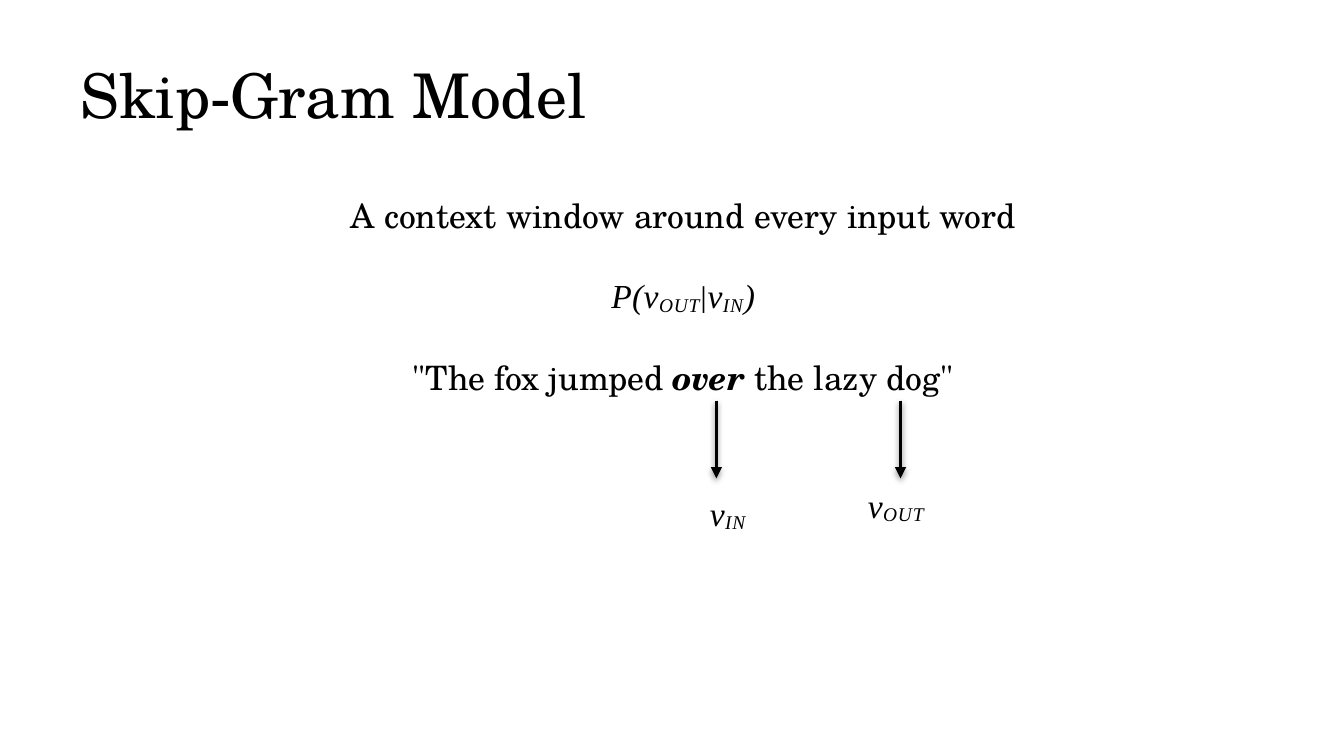
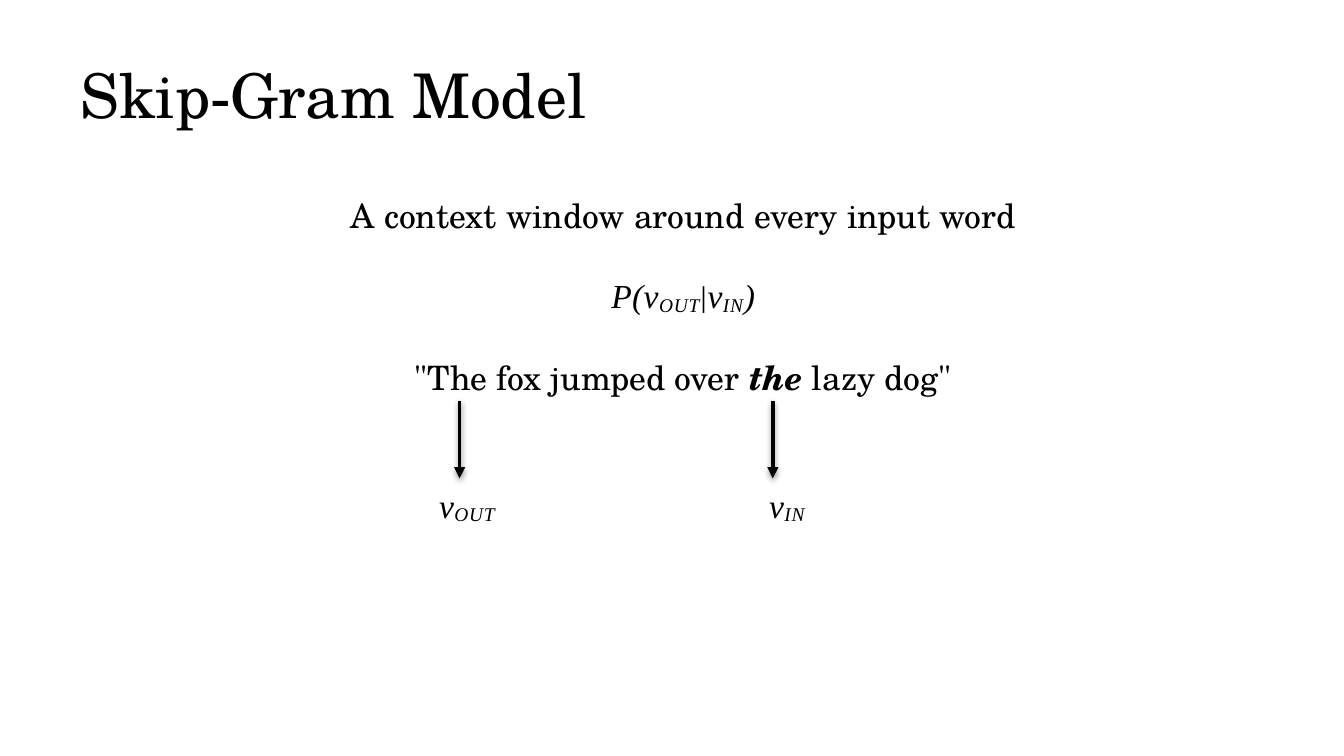
"""Build two skip-gram slides, each marking an input and an output word."""
from dataclasses import dataclass

from lxml import etree
from pptx import Presentation
from pptx.dml.color import RGBColor
from pptx.enum import shapes, text
from pptx.oxml import ns
from pptx.util import Pt

HEADING = "Skip-Gram Model"
LEAD = [("A context window around every input word", "prose")]
V_IN = [("v", "math"), ("IN", "sub")]
V_OUT = [("v", "math"), ("OUT", "sub")]
PROBABILITY = [("P(", "math"), *V_OUT, ("|", "bar"), *V_IN, (")", "math")]

EXAMPLES = [
    {
        "sentence": [('"The fox jumped ', "prose"), ("over", "focus"), (' the lazy dog"', "prose")],
        "arrows": [383.8, 482.4],
        "output": (457.9, 256.3),
        "input": (372.2, 260.6),
    },
    {
        "sentence": [('"The fox jumped over ', "prose"), ("the", "focus"), (' lazy dog"', "prose")],
        "arrows": [414, 246.2],
        "output": (228.2, 256.3),
        "input": (403.9, 256.3),
    },
]


@dataclass(frozen=True)
class Theme:
    ink: RGBColor = RGBColor(0, 0, 0)
    serif: str = "TeX Gyre Schola"
    math: str = "Times New Roman"
    bar: str = "TeX Gyre Pagella"
    title_size: float = 33
    body_size: float = 18
    paragraph_gap: float = 21.6
    line_width: float = 2


THEME = Theme()
SLIDE_SIZE = (720, 405)
TITLE_BOX = (36, 16.6, 648, 67.7)
BODY_BOX = (36, 100.8, 660, 160)
OUTPUT_SIZE = (47.5, 28.8)
INPUT_SIZE = (35.3, 28.8)
ARROW_TOP, ARROW_BOTTOM = 214.6, 256.3

FONTS = {
    "title": {"name": THEME.serif, "size": Pt(THEME.title_size)},
    "prose": {"name": THEME.serif},
    "focus": {"name": THEME.serif, "bold": True, "italic": True},
    "math": {"name": THEME.math, "italic": True},
    "sub": {"name": THEME.math, "italic": True},
    "bar": {"name": THEME.bar},
}
RUN_XML = {
    "math": {"spc": "20"},
    "bar": {"spc": "20"},
    "sub": {"spc": "40", "baseline": "-10000"},
}
SHADOW = (
    f'<a:effectLst xmlns:a="{ns.namespaces("a")["a"]}">'
    '<a:outerShdw blurRad="40000" dist="20000" dir="5400000" rotWithShape="0">'
    '<a:srgbClr val="000000"><a:alpha val="38000"/></a:srgbClr>'
    "</a:outerShdw></a:effectLst>"
)


def apply(target, values):
    for key, value in values.items():
        setattr(target, key, value)


def add_words(slide, box, lines, align=text.PP_ALIGN.LEFT, **frame_format):
    frame = slide.shapes.add_textbox(*map(Pt, box)).text_frame
    apply(frame, {"word_wrap": True, **frame_format})
    for index, line in enumerate(lines):
        paragraph = frame.add_paragraph() if index else frame.paragraphs[0]
        gap = THEME.paragraph_gap if index else 0
        apply(paragraph, {"alignment": align, "space_before": Pt(gap)})
        for words, style in line:
            run = paragraph.add_run()
            run.text = words
            apply(run.font, {"size": Pt(THEME.body_size), **FONTS[style]})
            run.font.color.rgb = THEME.ink
            for key, value in RUN_XML.get(style, {}).items():
                run.font._element.set(key, value)


def add_arrow(slide, x):
    arrow = slide.shapes.add_connector(
        shapes.MSO_CONNECTOR.STRAIGHT, *map(Pt, (x, ARROW_TOP, x, ARROW_BOTTOM))
    )
    arrow.line.color.rgb = THEME.ink
    arrow.line.width = Pt(THEME.line_width)
    etree.SubElement(arrow.line._get_or_add_ln(), ns.qn("a:tailEnd"), type="triangle")
    arrow._element.spPr.append(etree.fromstring(SHADOW))


def add_example(slide, example):
    center = text.PP_ALIGN.CENTER
    label = {"word_wrap": False, "auto_size": text.MSO_AUTO_SIZE.SHAPE_TO_FIT_TEXT}
    add_words(slide, TITLE_BOX, [[(HEADING, "title")]], vertical_anchor=text.MSO_ANCHOR.MIDDLE)
    add_words(slide, BODY_BOX, [LEAD, PROBABILITY, example["sentence"]], center)
    for x in example["arrows"]:
        add_arrow(slide, x)
    add_words(slide, example["output"] + OUTPUT_SIZE, [V_OUT], **label)
    add_words(slide, example["input"] + INPUT_SIZE, [V_IN], center, **label)


def main():
    deck = Presentation()
    deck.slide_width, deck.slide_height = map(Pt, SLIDE_SIZE)
    for example in EXAMPLES:
        add_example(deck.slides.add_slide(deck.slide_layouts[6]), example)
    deck.save("out.pptx")


if __name__ == "__main__":
    main()
